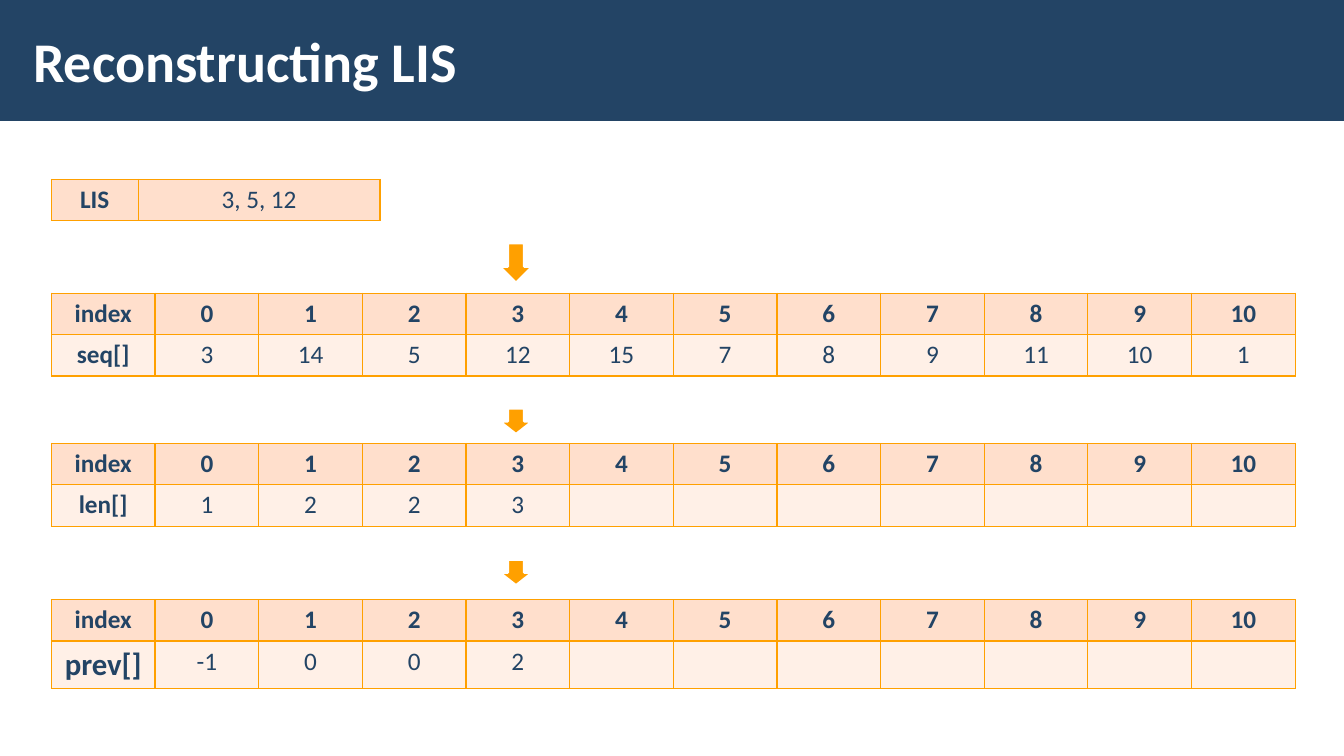
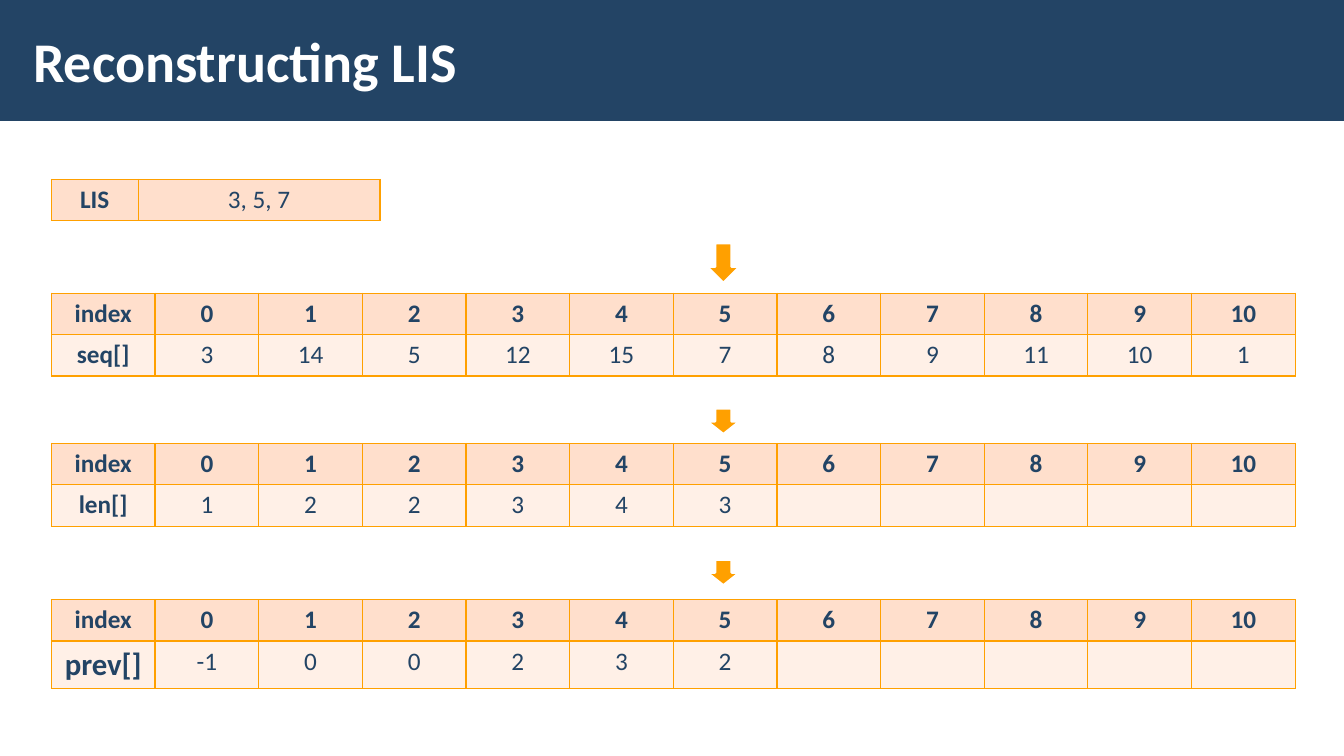
import lxml.etree
import pptx
import pptx.dml.color
import pptx.enum.shapes
import pptx.enum.text
import pptx.oxml.ns
import pptx.util

COLORS = {
    "navy": "234465",
    "white": "FFFFFF",
    "orange": "FFA000",
    "header": "FFDFCC",
    "body": "FFF0E7",
}
FONT = "Calibri"
SLIDE_WIDTH, SLIDE_HEIGHT = 13.33, 7.5
BAND_HEIGHT = 0.16 * SLIDE_HEIGHT
LEFT = 0.51
INDEX_COUNT = 11
COLUMN = 12.34 / (INDEX_COUNT + 1)
ROW = 0.41
ARROW_WIDTH = 0.33
ARROW_INSET = 0.33
SEQUENCE = [3, 14, 5, 12, 15, 7, 8, 9, 11, 10, 1]
TABLE_TOPS = {"seq[]": 2.91, "len[]": 4.4, "prev[]": 5.95}
LABEL_SIZES = {"prev[]": 22}
ARROWS = [(2.41, 0.4), (4.05, 0.26), (5.55, 0.26)]
STEPS = [
    {"lis": "3, 5, 12", "len[]": [1, 2, 2, 3], "prev[]": [-1, 0, 0, 2]},
    {"lis": "3, 5, 7", "len[]": [1, 2, 2, 3, 4, 3], "prev[]": [-1, 0, 0, 2, 3, 2]},
]


def inches(*lengths):
    return [pptx.util.Inches(length) for length in lengths]


def color(name):
    return pptx.dml.color.RGBColor.from_string(COLORS[name])


def paint(fill, name):
    fill.solid()
    fill.fore_color.rgb = color(name)


def add_run(paragraph, text, size, color_name, bold):
    run = paragraph.add_run()
    run.text = text
    run.font.name = FONT
    run.font.size = pptx.util.Pt(size)
    run.font.bold = bold
    run.font.color.rgb = color(color_name)


def add_filled_shape(slide, kind, box, color_name):
    shape = slide.shapes.add_shape(kind, *inches(*box))
    shape.shadow.inherit = False
    paint(shape.fill, color_name)
    return shape


def add_layout_band(slide):
    band = add_filled_shape(
        slide,
        pptx.enum.shapes.MSO_SHAPE.RECTANGLE,
        (0, 0, SLIDE_WIDTH, BAND_HEIGHT),
        "navy",
    )
    band.line.fill.background()
    slide.slide_layout.shapes.element.insert(2, band.element)


def place_layout_title(layout):
    title = layout.placeholders[0]
    title.left, title.top, title.width, title.height = inches(0.21, 0.11, 10.63, 0.97)
    frame = title.text_frame
    frame.margin_left, frame.margin_right = inches(0.12, 0.12)
    frame.margin_top, frame.margin_bottom = inches(0.04, 0.04)
    frame.vertical_anchor = pptx.enum.text.MSO_ANCHOR.MIDDLE


def add_title(slide, text):
    paragraph = slide.shapes.title.text_frame.paragraphs[0]
    paragraph.alignment = pptx.enum.text.PP_ALIGN.LEFT
    add_run(paragraph, text, 40, "white", True)


def add_arrow(slide, index, top, height):
    left = LEFT + COLUMN * (index + 1) + ARROW_INSET
    arrow = add_filled_shape(
        slide,
        pptx.enum.shapes.MSO_SHAPE.DOWN_ARROW,
        (left, top, ARROW_WIDTH, height),
        "orange",
    )
    arrow.line.color.rgb = color("white")
    arrow.line.width = pptx.util.Pt(2)


def add_borders(cell):
    properties = cell._tc.get_or_add_tcPr()
    qualified = pptx.oxml.ns.qn
    for side in ("a:lnL", "a:lnR", "a:lnT", "a:lnB"):
        line = lxml.etree.SubElement(properties, qualified(side), w=str(pptx.util.Pt(1)))
        fill = lxml.etree.SubElement(line, qualified("a:solidFill"))
        lxml.etree.SubElement(fill, qualified("a:srgbClr"), val=COLORS["orange"])


def fill_cell(cell, text, fill_name, bold, size=18):
    add_borders(cell)
    paint(cell.fill, fill_name)
    paragraph = cell.text_frame.paragraphs[0]
    paragraph.alignment = pptx.enum.text.PP_ALIGN.CENTER
    if text:
        add_run(paragraph, text, size, "navy", bold)


def add_grid(slide, top, widths, row_count):
    box = inches(LEFT, top, sum(widths), ROW * row_count)
    table = slide.shapes.add_table(row_count, len(widths), *box).table
    for column, width in zip(table.columns, inches(*widths)):
        column.width = width
    for row in table.rows:
        row.height = pptx.util.Inches(ROW)
    return table


def add_array_table(slide, label, values):
    table = add_grid(slide, TABLE_TOPS[label], [COLUMN] * (INDEX_COUNT + 1), 2)
    headers = ["index", *map(str, range(INDEX_COUNT))]
    texts = [label, *map(str, values)] + [""] * (INDEX_COUNT - len(values))
    for position, (header, text) in enumerate(zip(headers, texts)):
        is_label = position == 0
        size = LABEL_SIZES.get(label, 18) if is_label else 18
        fill_cell(table.cell(0, position), header, "header", True)
        fill_cell(table.cell(1, position), text, "body", is_label, size)


def add_result_table(slide, result):
    table = add_grid(slide, 1.78, [0.86, 2.4], 1)
    fill_cell(table.cell(0, 0), "LIS", "header", True)
    fill_cell(table.cell(0, 1), result, "header", False)


def add_step(presentation, layout, step):
    slide = presentation.slides.add_slide(layout)
    add_title(slide, "Reconstructing LIS")
    for top, height in ARROWS:
        add_arrow(slide, len(step["len[]"]) - 1, top, height)
    arrays = {"seq[]": SEQUENCE, **step}
    for label in TABLE_TOPS:
        add_array_table(slide, label, arrays[label])
    add_result_table(slide, step["lis"])
    return slide


def main():
    presentation = pptx.Presentation()
    presentation.slide_width, presentation.slide_height = inches(SLIDE_WIDTH, SLIDE_HEIGHT)
    layout = presentation.slide_layouts.get_by_name("Title Only")
    place_layout_title(layout)
    slides = [add_step(presentation, layout, step) for step in STEPS]
    add_layout_band(slides[0])
    presentation.save("out.pptx")


if __name__ == "__main__":
    main()
